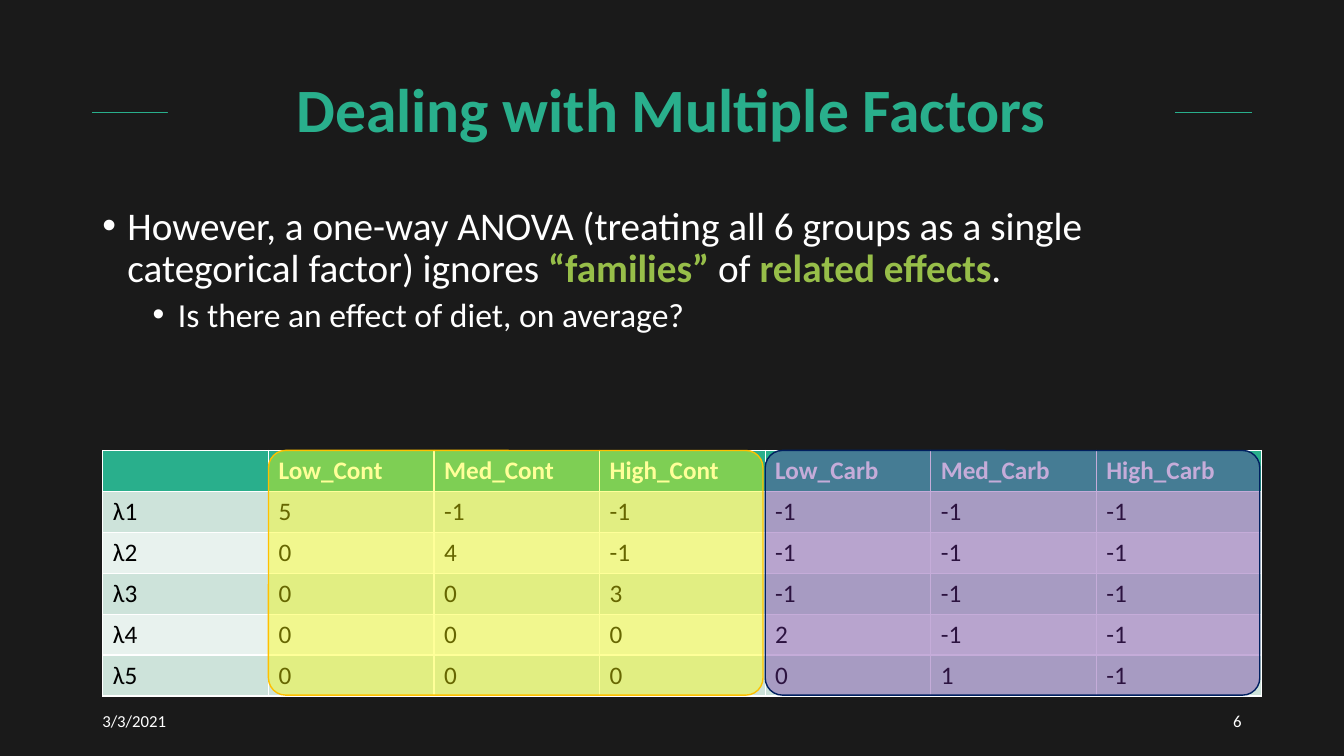
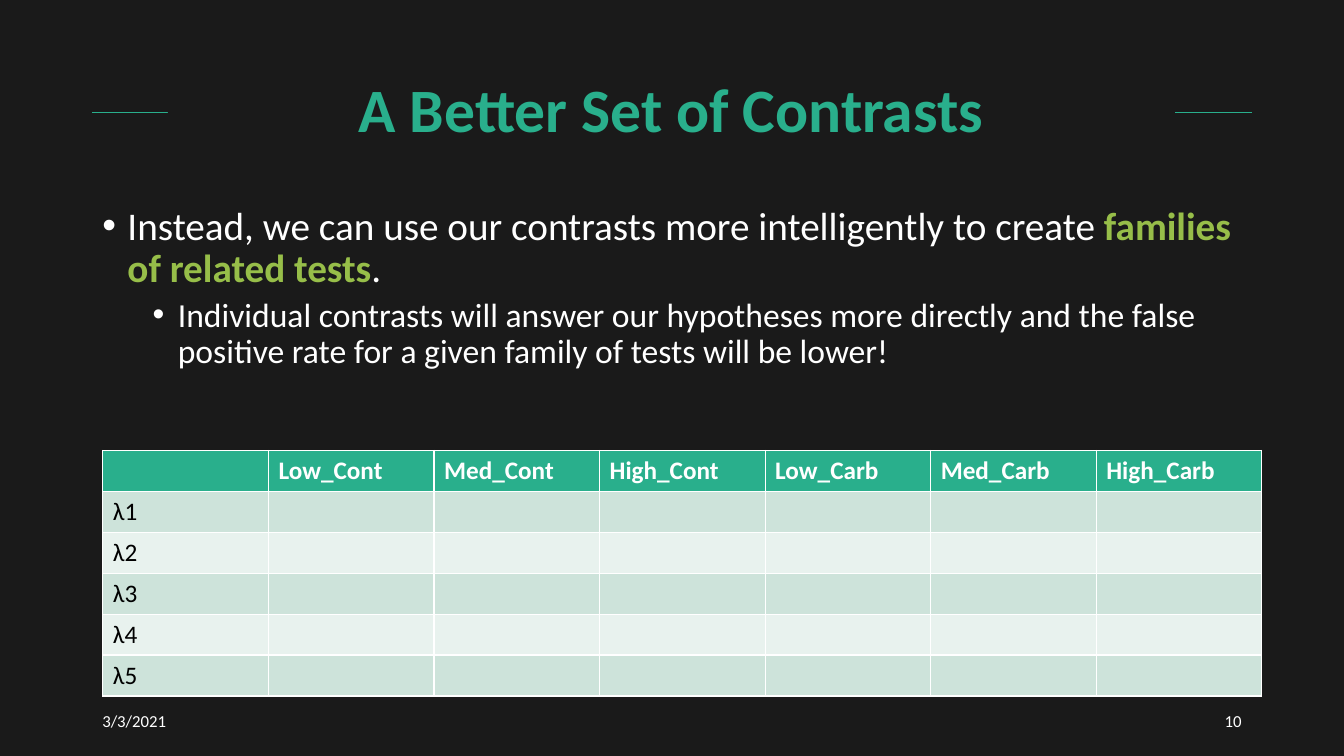
from lxml import etree
from pptx import Presentation
from pptx.dml.color import RGBColor
from pptx.enum.shapes import MSO_CONNECTOR as CONNECTOR, MSO_SHAPE as SHAPE
from pptx.enum.text import MSO_ANCHOR as ANCHOR, PP_ALIGN as ALIGN
from pptx.oxml.ns import qn
from pptx.util import Pt

EMU_PER_PX = 9525  # 96 px to the inch
FONT = "Calibri"
COLORS = {
    "background": "1A1A1A",
    "accent": "29AF8C",
    "emphasis": "97BE49",
    "white": "FFFFFF",
    "black": "000000",
    "odd row": "CDE3DA",
    "even row": "E8F2EE",
    "yellow": "FFFF00",
    "orange": "FFC000",
    "purple": "7030A0",
    "navy": "002060",
}

# Table grid
TABLE_LEFT, TABLE_TOP, TABLE_WIDTH, ROW_HEIGHT = 98, 429, 1104, 39
GROUPS = ["Low_Cont", "Med_Cont", "High_Cont", "Low_Carb", "Med_Carb", "High_Carb"]
CONTRASTS = ["λ1", "λ2", "λ3", "λ4", "λ5"]
COLUMN_WIDTH = TABLE_WIDTH / (len(GROUPS) + 1)

# Bullet levels: text size, left indent, space before
LEVELS = [(28, 24, 10), (24, 72, 5)]
HANGING = 24


def px(length):
    return round(length * EMU_PER_PX)


def color(name):
    return RGBColor.from_string(COLORS[name])


def fill_with(target, name):
    target.fill.solid()
    target.fill.fore_color.rgb = color(name)


def style(font, size, name, bold=False):
    font.name, font.size, font.bold = FONT, Pt(size), bold
    font.color.rgb = color(name)


def add_box(page, left, top, width, height, anchor=ANCHOR.TOP):
    box = page.shapes.add_textbox(px(left), px(top), px(width), px(height))
    box.text_frame.word_wrap = True
    box.text_frame.vertical_anchor = anchor
    return box


def add_label(page, area, text, size, name, align, bold=False):
    box = add_box(page, *area, anchor=ANCHOR.MIDDLE)
    para = box.text_frame.paragraphs[0]
    para.text, para.alignment = text, align
    style(para.font, size, name, bold)
    return box


def add_title(page, text):
    """A title that interrupts a thin rule across the page."""
    rule = page.shapes.add_connector(
        CONNECTOR.STRAIGHT, px(88), px(107), px(1192), px(107))
    rule.line.color.rgb = color("accent")
    rule.line.width = Pt(0.5)
    etree.SubElement(rule._element.spPr, qn("a:effectLst"))
    box = add_label(page, (160, 38, 959, 139), text, 44, "accent", ALIGN.CENTER, True)
    box.text_frame.paragraphs[0].line_spacing = 0.9
    fill_with(box, "background")


def add_bullets(page, bullets):
    """Each bullet is a level and its spans; every second span is emphasised."""
    frame = add_box(page, 88, 192, 1104, 457).text_frame
    for index, (level, spans) in enumerate(bullets):
        para = frame.add_paragraph() if index else frame.paragraphs[0]
        size, indent, space = LEVELS[level]
        para.level, para.line_spacing = level, 0.9
        if index:
            para.space_before = Pt(space)
        properties = para._p.get_or_add_pPr()
        properties.set("marL", str(px(indent)))
        properties.set("indent", str(px(-HANGING)))
        etree.SubElement(properties, qn("a:buFont"), typeface="Arial")
        etree.SubElement(properties, qn("a:buChar"), char="•")
        style(para.font, size, "white")
        for position, text in enumerate(spans):
            span = para.add_run()
            span.text = text
            if position % 2:
                span.font.bold = True
                span.font.color.rgb = color("emphasis")


def add_contrast_table(page, values):
    rows = [[""] + GROUPS] + [[name] + row for name, row in zip(CONTRASTS, values)]
    table = page.shapes.add_table(
        len(rows), len(rows[0]), px(TABLE_LEFT), px(TABLE_TOP),
        px(TABLE_WIDTH), px(ROW_HEIGHT * len(rows))).table
    for row_index, row in enumerate(rows):
        header = row_index == 0
        band = "accent" if header else "odd row" if row_index % 2 else "even row"
        for column_index, text in enumerate(row):
            cell = table.cell(row_index, column_index)
            fill_with(cell, band)
            para = cell.text_frame.paragraphs[0]
            para.text = str(text)
            style(para.font, 18, "white" if header else "black", header)


def add_family(page, first_column, fill, line):
    """A translucent frame over three columns of the table."""
    frame = page.shapes.add_shape(
        SHAPE.ROUNDED_RECTANGLE, px(TABLE_LEFT + first_column * COLUMN_WIDTH),
        px(TABLE_TOP), px(471), px(233))
    frame.adjustments[0] = 0.07
    frame.shadow.inherit = False
    fill_with(frame, fill)
    tint = frame._element.spPr.find(qn("a:solidFill"))[0]
    etree.SubElement(tint, qn("a:alpha"), val="40000")
    frame.line.color.rgb = color(line)
    frame.line.width = Pt(1)


def add_page(deck, number, title, bullets, values):
    page = deck.slides.add_slide(deck.slide_layouts[6])
    fill_with(page.background, "background")
    add_title(page, title)
    add_bullets(page, bullets)
    add_label(page, (88, 667, 288, 38), "3/3/2021", 12, "white", ALIGN.LEFT)
    add_label(page, (904, 667, 288, 38), str(number), 12, "white", ALIGN.RIGHT)
    add_contrast_table(page, values)
    return page


def main():
    deck = Presentation()
    deck.slide_width, deck.slide_height = px(1280), px(720)

    # One-way contrasts
    page = add_page(
        deck, 6, "Dealing with Multiple Factors",
        [(0, ["However, a one-way ANOVA (treating all 6 groups as a single "
              "categorical factor) ignores ", "“families”", " of ",
              "related effects", "."]),
         (1, ["Is there an effect of diet, on average?"])],
        [[5, -1, -1, -1, -1, -1],
         [0, 4, -1, -1, -1, -1],
         [0, 0, 3, -1, -1, -1],
         [0, 0, 0, 2, -1, -1],
         [0, 0, 0, 0, 1, -1]])
    add_family(page, 1, "yellow", "orange")
    add_family(page, 4, "purple", "navy")

    # Contrasts still to be filled in
    add_page(
        deck, 10, "A Better Set of Contrasts",
        [(0, ["Instead, we can use our contrasts more intelligently to create ",
              "families of related tests", "."]),
         (1, ["Individual contrasts will answer our hypotheses more directly and "
              "the false positive rate for a given family of tests will be lower!"])],
        [[""] * len(GROUPS)] * len(CONTRASTS))

    deck.save("out.pptx")


if __name__ == "__main__":
    main()
